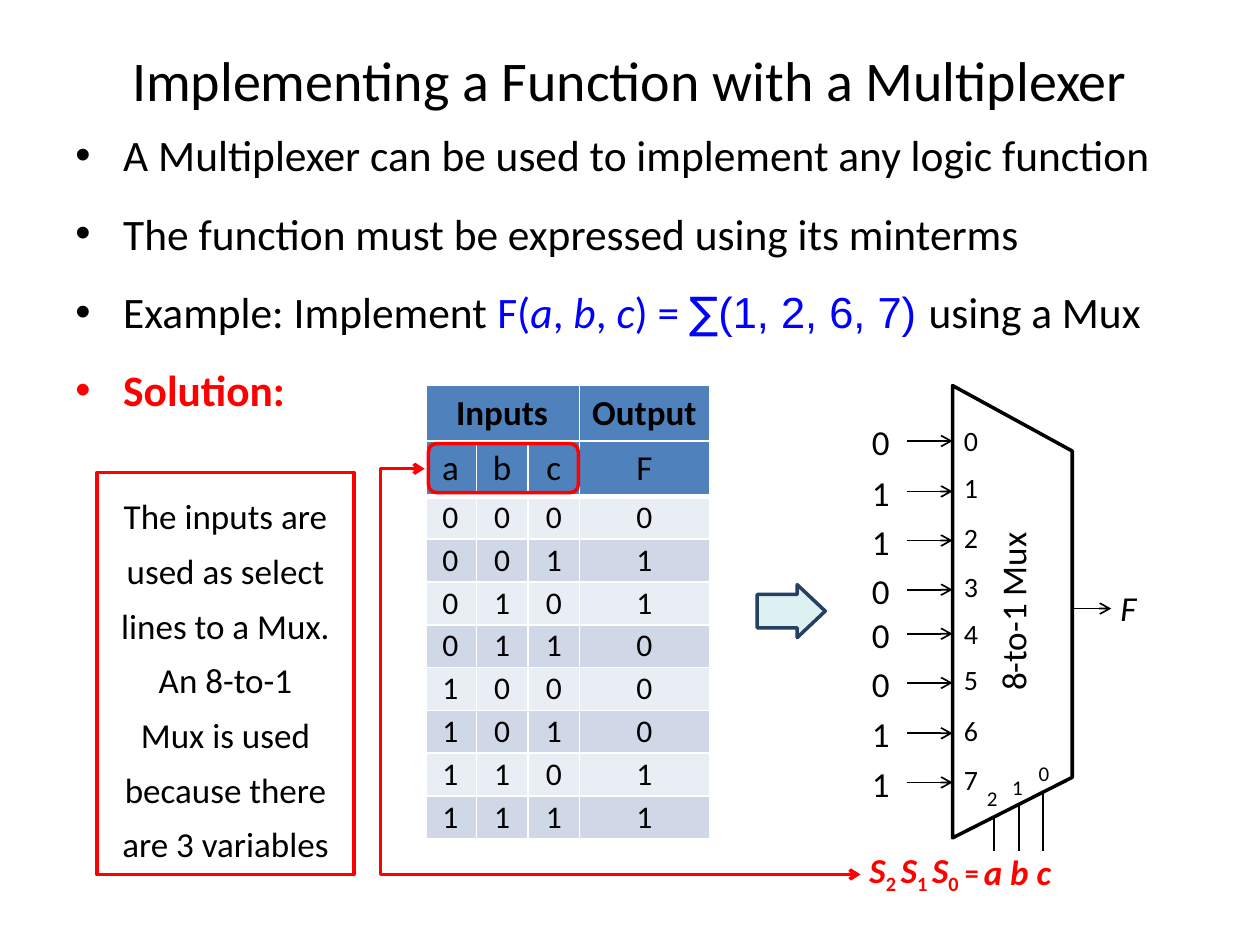
"""Build a slide on implementing a logic function with an 8-to-1 multiplexer."""
from lxml.etree import SubElement
from pptx import Presentation
from pptx.dml.color import RGBColor
from pptx.enum.shapes import MSO_CONNECTOR, MSO_SHAPE
from pptx.enum.text import MSO_ANCHOR, PP_ALIGN
from pptx.oxml.ns import qn
from pptx.util import Inches, Pt

COLORS = {
    "black": "000000", "white": "FFFFFF", "red": "FF0000", "blue": "0000FF",
    "header": "4F81BD", "light": "E9EDF4", "dark": "D0D8E8",
    "arrow": "DEF1F2", "navy": "254061",
}


def write(paragraph, runs, size, align=PP_ALIGN.CENTER):
    paragraph.alignment = align
    for text, style in runs:
        run = paragraph.add_run()
        run.text = text
        font = run.font
        font.name = style.get("font", "Calibri")
        font.size = Pt(style.get("size", size))
        font.bold = style.get("bold", False)
        font.italic = style.get("italic", False)
        font.color.rgb = RGBColor.from_string(COLORS[style.get("color", "black")])
        if style.get("subscript"):
            run._r.get_or_add_rPr().set("baseline", "-25000")


def outline(shape, color, width, ends=()):
    shape.line.color.rgb = RGBColor.from_string(COLORS[color])
    shape.line.width = Pt(width)
    for end in ends:
        SubElement(shape.line._get_or_add_ln(), qn(f"a:{end}"), type="arrow")
    SubElement(shape._element.spPr, qn("a:effectLst"))


presentation = Presentation()
presentation.slide_width, presentation.slide_height = Inches(10), Inches(7.5)
slide = presentation.slides.add_slide(presentation.slide_layouts[6])
shapes = slide.shapes

title = shapes.add_textbox(Inches(0.5), Inches(0), Inches(9), Inches(1.25)).text_frame
title.word_wrap = True
title.vertical_anchor = MSO_ANCHOR.MIDDLE
write(title.paragraphs[0], [("Implementing a Function with a Multiplexer", {})], 32)

blue, blue_italic = {"color": "blue"}, {"color": "blue", "italic": True}
bullets = [
    [("A Multiplexer can be used to implement any logic function", {})],
    [("The function must be expressed using its minterms", {})],
    [("Example: Implement ", {}), ("F(", blue), ("a", blue_italic), (", ", blue),
     ("b", blue_italic), (", ", blue), ("c", blue_italic), (") = ", blue),
     ("∑", {"color": "blue", "font": "DejaVu Sans"}),
     ("(1, 2, 6, 7) ", {"color": "blue", "font": "Arial"}), ("using a Mux", {})],
    [("Solution:", {"color": "red", "bold": True})],
]
body = shapes.add_textbox(Inches(0.5), Inches(0.97), Inches(9), Inches(2.49)).text_frame
body.word_wrap = True
for index, runs in enumerate(bullets):
    paragraph = body.add_paragraph() if index else body.paragraphs[0]
    properties = paragraph._p.get_or_add_pPr()
    properties.set("marL", str(Inches(0.38)))
    properties.set("indent", str(Inches(-0.38)))
    SubElement(properties, qn("a:buFont"), typeface="Arial")
    SubElement(properties, qn("a:buChar"), char="•")
    paragraph.space_before = Pt(15 if index else 0)
    write(paragraph, runs, 24.8, PP_ALIGN.LEFT)

minterms = {1, 2, 6, 7}
outputs = [str(int(number in minterms)) for number in range(8)]
rows = [["Inputs", "", "", "Output"], ["a", "b", "c", "F"]]
rows += [[*f"{number:03b}", output] for number, output in enumerate(outputs)]
table = shapes.add_table(10, 4, Inches(3.37), Inches(3.06), Inches(2.26), Inches(3.6)).table
for column, width in zip(table.columns, (0.41, 0.41, 0.41, 1.03)):
    column.width = Inches(width)
table.cell(0, 0).merge(table.cell(0, 2))
for row_index, row in enumerate(rows):
    is_header = row_index < 2
    table.rows[row_index].height = Inches(0.44 if is_header else 0.34)
    fill = "header" if is_header else ("light", "dark")[row_index % 2]
    for column_index, text in enumerate(row):
        cell = table.cell(row_index, column_index)
        cell.margin_top = cell.margin_bottom = 0
        cell.margin_left = cell.margin_right = Inches(0 if is_header else 0.09)
        cell.vertical_anchor = MSO_ANCHOR.MIDDLE
        borders = {
            "lnL": 1 if column_index else 3, "lnR": 1,
            "lnT": 3 if row_index == 2 else 1, "lnB": 3 if row_index == 1 else 1,
        }
        for side, width in borders.items():
            border = SubElement(cell._tc.get_or_add_tcPr(), qn(f"a:{side}"), w=str(Pt(width)))
            SubElement(SubElement(border, qn("a:solidFill")), qn("a:srgbClr"), val=COLORS["white"])
        cell.fill.solid()
        cell.fill.fore_color.rgb = RGBColor.from_string(COLORS[fill])
        if text:
            write(cell.text_frame.paragraphs[0], [(text, {"bold": row_index == 0})],
                  20 if is_header else 18)

note_lines = ["The inputs are", "used as select", "lines to a Mux.", "An 8-to-1",
              "Mux is used", "because there", "are 3 variables"]
note = shapes.add_shape(MSO_SHAPE.RECTANGLE, Inches(0.77), Inches(3.75), Inches(2.04), Inches(3.19))
note.fill.background()
outline(note, "red", 2)
frame = note.text_frame
frame.margin_left = frame.margin_right = frame.margin_top = frame.margin_bottom = 0
frame.vertical_anchor = MSO_ANCHOR.MIDDLE
for index, line in enumerate(note_lines):
    paragraph = frame.add_paragraph() if index else frame.paragraphs[0]
    paragraph.line_spacing = 1.3
    write(paragraph, [(line, {})], 20)

builder = shapes.build_freeform(Inches(3.37), Inches(3.72))
corners = [(3.02, 3.72), (3.02, 6.94), (6.83, 6.94)]
builder.add_line_segments([(Inches(x), Inches(y)) for x, y in corners], close=False)
select_path = builder.convert_to_shape()
select_path.fill.background()
outline(select_path, "red", 2, ("headEnd", "tailEnd"))

inputs_frame = shapes.add_shape(MSO_SHAPE.ROUNDED_RECTANGLE, Inches(3.4), Inches(3.52),
                                Inches(1.19), Inches(0.39))
inputs_frame.fill.background()
outline(inputs_frame, "red", 2)

block_arrow = shapes.add_shape(MSO_SHAPE.RIGHT_ARROW, Inches(6.01), Inches(4.64),
                               Inches(0.54), Inches(0.42))
block_arrow.adjustments[0], block_arrow.adjustments[1] = 0.63, 0.53
block_arrow.fill.solid()
block_arrow.fill.fore_color.rgb = RGBColor.from_string(COLORS["arrow"])
outline(block_arrow, "navy", 2)

input_heights = [3.5, 3.9, 4.29, 4.68, 5.03, 5.42, 5.82, 6.21]
wires = [(x, 6.75, x, top, ()) for x, top in ((7.89, 6.31), (8.09, 6.21), (8.28, 6.16))]
wires.append((8.51, 4.83, 8.82, 4.83, ("tailEnd",)))
wires += [(7.2, y, 7.56, y, ("tailEnd",)) for y in input_heights]
for start_x, start_y, end_x, end_y, ends in wires:
    wire = shapes.add_connector(MSO_CONNECTOR.STRAIGHT, Inches(start_x), Inches(start_y),
                                Inches(end_x), Inches(end_y))
    outline(wire, "black", 1, ends)

builder = shapes.build_freeform(Inches(7.56), Inches(3.06))
corners = [(7.56, 6.65), (8.51, 6.17), (8.51, 3.58)]
builder.add_line_segments([(Inches(x), Inches(y)) for x, y in corners], close=True)
mux = builder.convert_to_shape()
mux.fill.solid()
mux.fill.fore_color.rgb = RGBColor.from_string(COLORS["white"])
outline(mux, "black", 2)
frame = mux.text_frame
frame.margin_left = frame.margin_right = frame.margin_top = frame.margin_bottom = 0
frame.vertical_anchor = MSO_ANCHOR.MIDDLE
frame._txBody.bodyPr.set("vert", "vert270")
write(frame.paragraphs[0], [("8-to-1 Mux", {})], 20)

select = {"color": "red", "bold": True, "italic": True}
subscript = {"color": "red", "bold": True, "subscript": True}
select_runs = [("S", select), ("2 ", subscript), ("S", select), ("1 ", subscript),
               ("S", select), ("0", subscript),
               (" =", {"color": "red", "bold": True, "size": 16})]
labels = [
    (7.77, 6.75, 0.61, 0.34, 20, [("a b c", select)]),
    (8.82, 4.63, 0.27, 0.39, 20, [("F", {"italic": True})]),
    (6.83, 6.75, 1.01, 0.34, 20, select_runs),
]
labels += [(6.81, y - 0.19, 0.36, 0.39, 20, [(value, {})])
           for y, value in zip(input_heights, outputs)]
pin_tops = [3.36, 3.73, 4.13, 4.52, 4.89, 5.26, 5.66, 6.05]
labels += [(7.64, top, 0.13, 0.27, 16, [(str(pin), {})]) for pin, top in enumerate(pin_tops)]
select_pins = [(8.22, 6), (8.01, 6.11), (7.81, 6.2)]
labels += [(left, top, 0.13, 0.27, 12, [(str(pin), {})])
           for pin, (left, top) in enumerate(select_pins)]
for left, top, width, height, size, runs in labels:
    frame = shapes.add_textbox(Inches(left), Inches(top), Inches(width), Inches(height)).text_frame
    frame.margin_left = frame.margin_right = frame.margin_top = frame.margin_bottom = 0
    frame.vertical_anchor = MSO_ANCHOR.MIDDLE
    frame.word_wrap = False
    write(frame.paragraphs[0], runs, size)

presentation.save("out.pptx")
